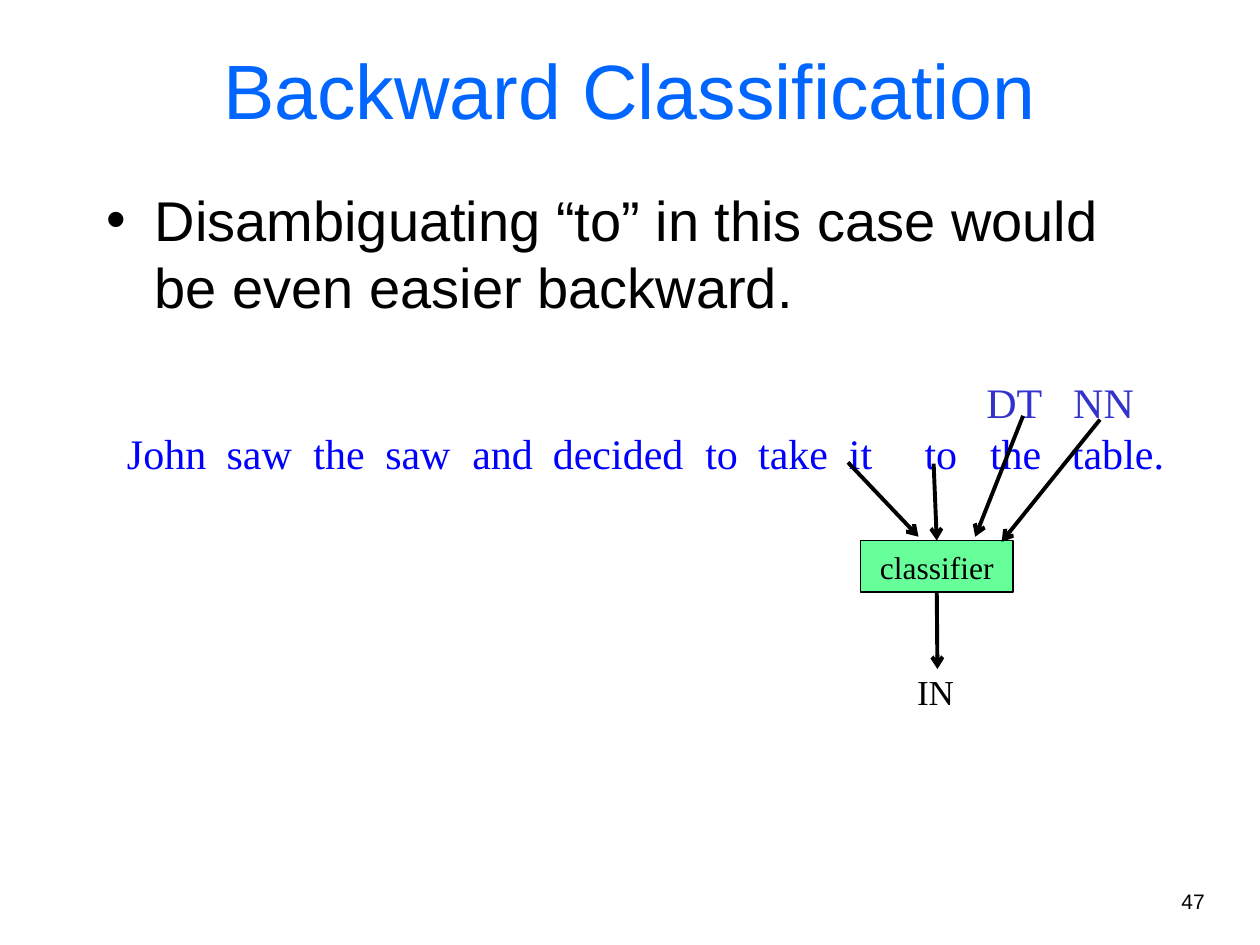
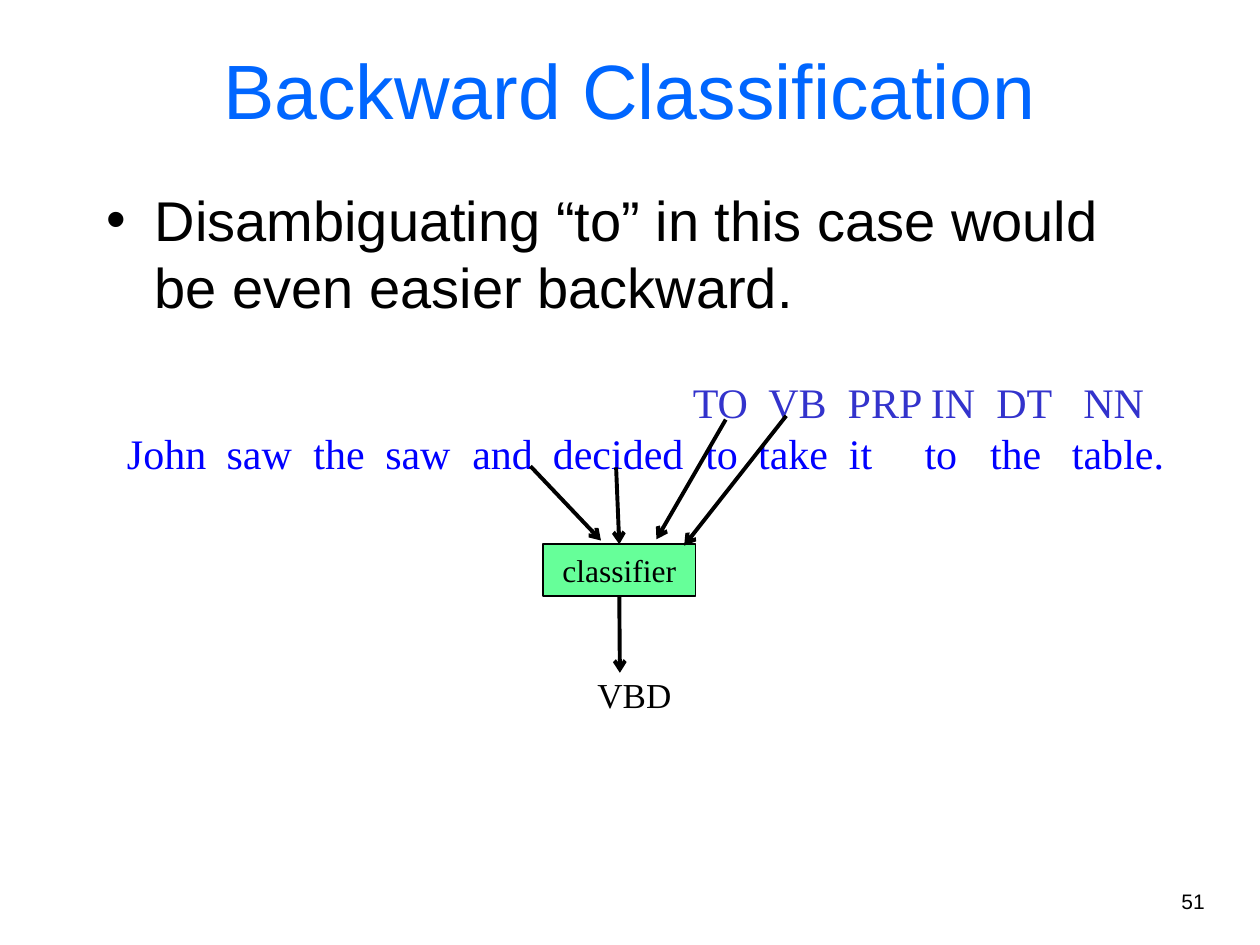
from lxml.etree import SubElement
from pptx import Presentation
from pptx.dml.color import RGBColor
from pptx.enum.shapes import MSO_CONNECTOR, MSO_SHAPE
from pptx.enum.text import MSO_ANCHOR, PP_ALIGN
from pptx.oxml.ns import qn
from pptx.util import Inches, Pt

COLORS = {"title": "0066FF", "text": "000000", "tag": "3333CC",
          "sentence": "0000FF", "classifier": "66FF99"}
SANS, SERIF = "Arial", "Times New Roman"

SENTENCE = "John saw the saw and decided to take it to the table.".split()
WORD_STOPS = [0, 0.79, 1.48, 2.05, 2.74, 3.38, 4.59, 5.01, 5.73, 6.33, 6.85, 7.5]

SLIDES = [
    dict(number="47", tags={"DT": 6.82, "NN": 7.51}, corner=(6.83, 4.29),
         tag_arrows=[((1.29, -0.99), (0.91, -0.03)), ((1.9, -0.96), (1.12, 0.01))],
         result="IN", result_left=0.21, result_width=0.77),
    dict(number="51", tags={"TO": 4.49, "VB": 5.09, "PRP": 5.72, "IN": 6.38,
                            "DT": 6.9, "NN": 7.59}, corner=(4.31, 4.32),
         tag_arrows=[((1.45, -0.99), (0.9, -0.04)), ((1.93, -1.02), (1.12, 0.01))],
         result="VBD", result_left=0.2, result_width=1.05),
]


def write(para, text, size, font=SANS, color="text", align=PP_ALIGN.LEFT):
    """Put formatted text into a paragraph."""
    para.alignment = align
    span = para.add_run()
    span.text = text
    span.font.size = Pt(size)
    span.font.name = font
    span.font.color.rgb = RGBColor.from_string(COLORS[color])


def add_text(page, box, text, anchor=MSO_ANCHOR.TOP, **style):
    """Add a wrapped text box and return its text frame."""
    frame = page.shapes.add_textbox(*map(Inches, box)).text_frame
    frame.word_wrap = True
    frame.vertical_anchor = anchor
    write(frame.paragraphs[0], text, **style)
    return frame


def set_tabs(para, stops):
    """Give a paragraph left tab stops, in inches."""
    tabs = SubElement(para._p.get_or_add_pPr(), qn("a:tabLst"))
    for stop in stops:
        SubElement(tabs, qn("a:tab"), pos=str(Inches(stop)), algn="l")


def add_bullet(para, indent):
    """Give a paragraph a hanging round bullet."""
    properties = para._p.get_or_add_pPr()
    properties.set("marL", str(Inches(indent)))
    properties.set("indent", str(-Inches(indent)))
    SubElement(properties, qn("a:buFont"), typeface=SANS)
    SubElement(properties, qn("a:buChar"), char="•")


def add_arrow(page, start, end):
    """Draw an arrow between two points."""
    arrow = page.shapes.add_connector(MSO_CONNECTOR.STRAIGHT, *map(Inches, start + end))
    arrow.line.color.rgb = RGBColor.from_string(COLORS["text"])
    arrow.line.width = Pt(2.25)
    SubElement(arrow.line._get_or_add_ln(), qn("a:tailEnd"), type="arrow")
    SubElement(arrow._element.spPr, qn("a:effectLst"))
    return arrow


def add_frame(page, number):
    """Add the title, the bullet and the page number."""
    add_text(page, (0.75, 0.08, 8.5, 1.25), "Backward Classification", size=44,
             color="title", align=PP_ALIGN.CENTER, anchor=MSO_ANCHOR.MIDDLE)
    body = add_text(page, (0.75, 1.42, 8.5, 5.25),
                    "Disambiguating “to” in this case would be even easier backward.",
                    size=32)
    add_bullet(body.paragraphs[0], 0.38)
    add_text(page, (7.58, 7, 2.08, 0.5), number, size=12, align=PP_ALIGN.RIGHT)


def add_sentence(page, box, tags):
    """Set the sentence on tab stops with its known tags above."""
    frame = add_text(page, box, "\t" + "\t".join(tags), size=24, font=SERIF, color="tag")
    set_tabs(frame.paragraphs[0], tags.values())
    words = frame.add_paragraph()
    write(words, "\t".join(SENTENCE), 24, SERIF, "sentence")
    set_tabs(words, WORD_STOPS[1:])


def add_classifier(page, corner, tag_arrows, result, result_left, result_width):
    """Draw the classifier with its input arrows and its result."""
    left, top = corner
    width, height = 1.21, 0.41

    def place(point):
        return left + point[0], top + point[1]

    box = page.shapes.add_shape(MSO_SHAPE.RECTANGLE,
                                *map(Inches, (left, top, width, height)))
    box.shadow.inherit = False
    box.fill.solid()
    box.fill.fore_color.rgb = RGBColor.from_string(COLORS["classifier"])
    box.line.color.rgb = RGBColor.from_string(COLORS["text"])
    box.line.width = Pt(1)
    box.text_frame.vertical_anchor = MSO_ANCHOR.MIDDLE
    write(box.text_frame.paragraphs[0], "classifier", 18, SERIF, align=PP_ALIGN.CENTER)

    for start, end in [((-0.1, -0.62), (0.46, -0.03))] + tag_arrows:
        add_arrow(page, place(start), place(end))
    word_arrow = add_arrow(page, place((0.58, -0.61)), place((width / 2, 0)))
    word_arrow.end_connect(box, 0)
    result_arrow = add_arrow(page, place((width / 2, height)), place((0.61, 1.02)))
    result_arrow.begin_connect(box, 2)
    add_text(page, place((result_left, 0.98)) + (result_width, 0.43), result,
             size=20, font=SERIF, align=PP_ALIGN.CENTER)


def build_slide(deck, number, tags, **classifier):
    """Build one step of the backward tagging."""
    page = deck.slides.add_slide(deck.slide_layouts[6])
    add_frame(page, number)
    add_sentence(page, (0.91, 2.94, 8.6, 0.9), tags)
    add_classifier(page, **classifier)


def main():
    """Build the deck and save it."""
    deck = Presentation()
    deck.slide_width, deck.slide_height = Inches(10), Inches(7.5)
    for step in SLIDES:
        build_slide(deck, **step)
    deck.save("out.pptx")


if __name__ == "__main__":
    main()
